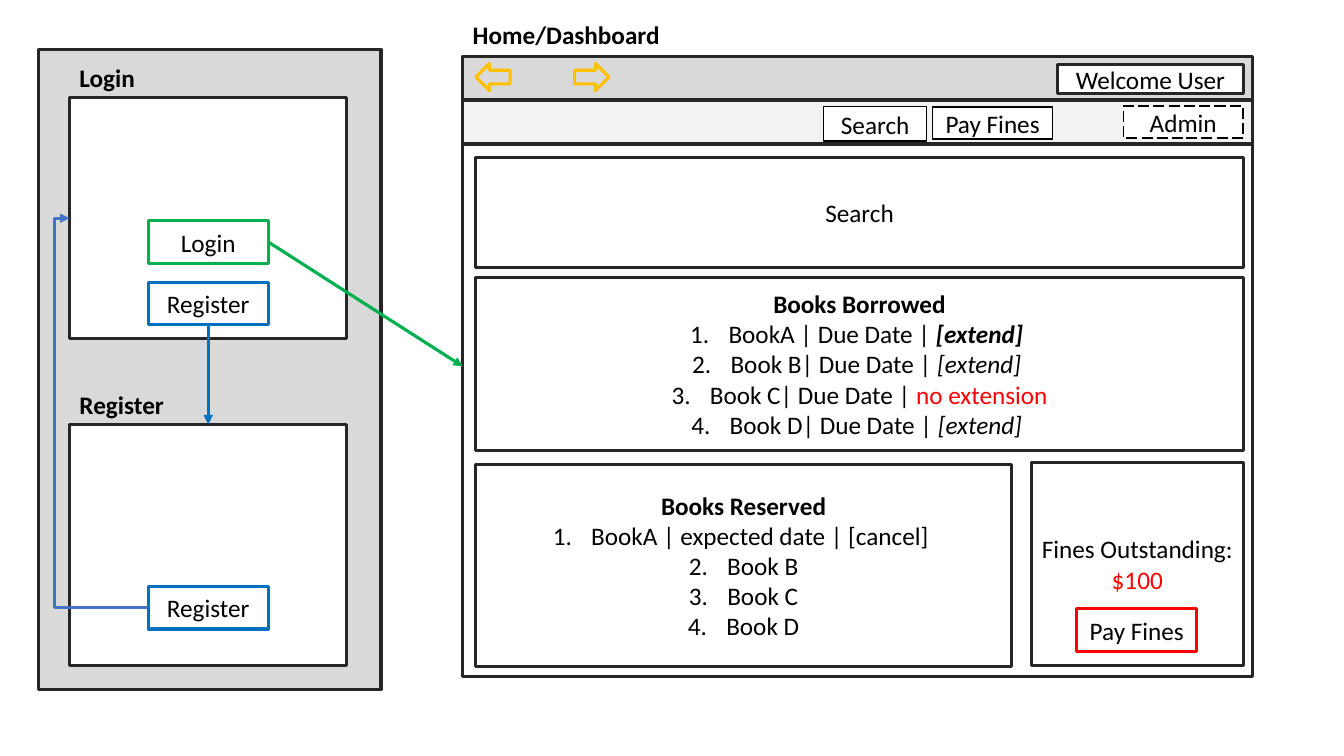
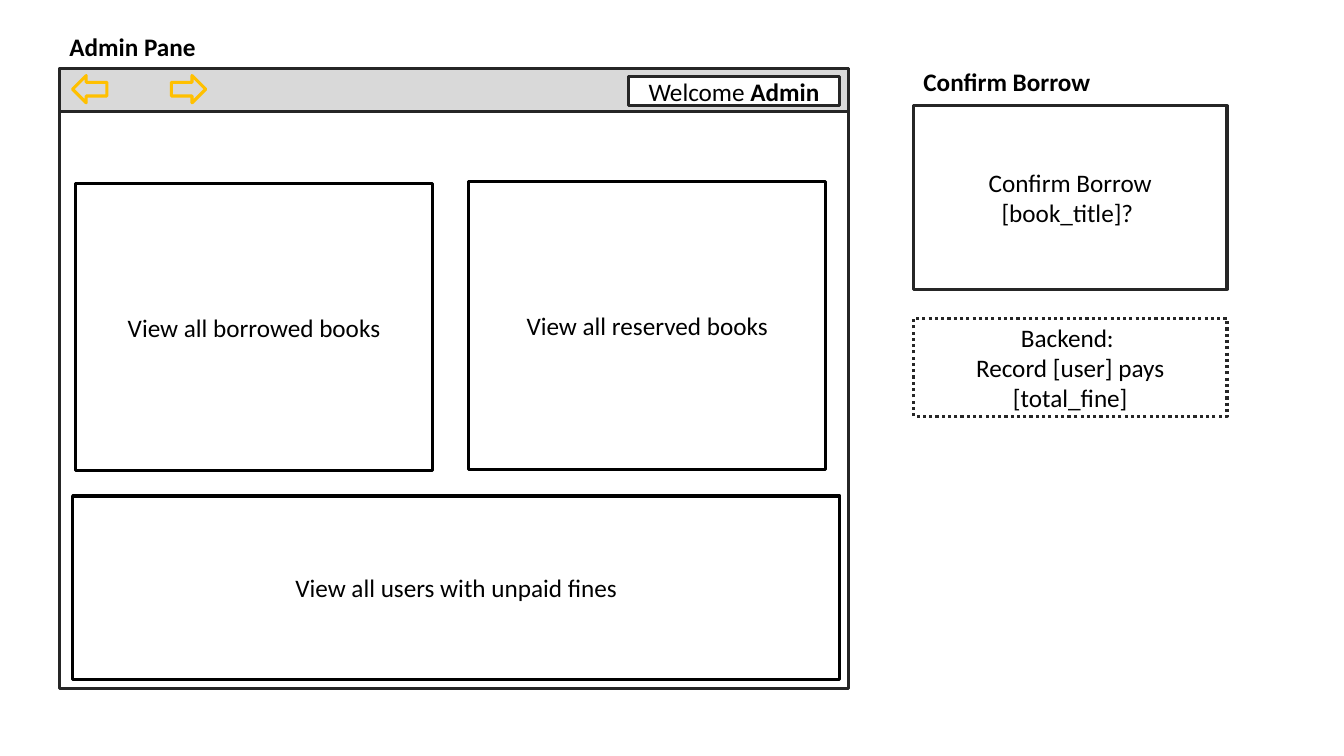
from lxml import etree
from pptx import Presentation
from pptx.dml.color import RGBColor
from pptx.enum.dml import MSO_LINE
from pptx.enum.shapes import MSO_CONNECTOR, MSO_SHAPE
from pptx.enum.text import MSO_ANCHOR, PP_ALIGN
from pptx.oxml.ns import qn
from pptx.util import Inches, Pt

RECT = MSO_SHAPE.RECTANGLE
LEFT_ARROW, RIGHT_ARROW = MSO_SHAPE.LEFT_ARROW, MSO_SHAPE.RIGHT_ARROW
STRAIGHT, ELBOW = MSO_CONNECTOR.STRAIGHT, MSO_CONNECTOR.ELBOW
LONG_DASH, DOTTED = MSO_LINE.LONG_DASH, MSO_LINE.ROUND_DOT
CENTER, MIDDLE = PP_ALIGN.CENTER, MSO_ANCHOR.MIDDLE
TOP_SITE, LEFT_SITE, BOTTOM_SITE, RIGHT_SITE = range(4)

BLACK = RGBColor(0x00, 0x00, 0x00)
WHITE = RGBColor(0xFF, 0xFF, 0xFF)
INK = RGBColor(0x26, 0x26, 0x26)
GREY = RGBColor(0xD9, 0xD9, 0xD9)
PALE = RGBColor(0xF2, 0xF2, 0xF2)
GREEN = RGBColor(0x00, 0xB0, 0x50)
BLUE = RGBColor(0x00, 0x70, 0xC0)
STEEL = RGBColor(0x44, 0x72, 0xC4)
GOLD = RGBColor(0xFF, 0xC0, 0x00)
RED = RGBColor(0xFF, 0x00, 0x00)

FONT, SIZE = "Calibri", Pt(18)
LINE_W, THIN = 2.25, 1
WINDOW_W, WINDOW_H, BAR_H = 7.83, 6.15, 0.43
PAD = 0.13
PANEL_W = 7.61
BUTTON_W, BUTTON_H = 1.19, 0.42


def add_run(p, text, bold=False, italic=False, color=BLACK):
    r = p.add_run()
    r.text = text
    r.font.name, r.font.size = FONT, SIZE
    r.font.bold, r.font.italic = bold, italic
    r.font.color.rgb = color


def number(p):
    """Turn a paragraph into an item of a numbered list."""
    pPr = p._p.get_or_add_pPr()
    pPr.set("marL", str(Inches(0.38)))
    pPr.set("indent", str(-Inches(0.38)))
    etree.SubElement(pPr, qn("a:buFont"), typeface="+mj-lt")
    etree.SubElement(pPr, qn("a:buAutoNum"), type="arabicPeriod")


def write(tf, paras, numbered=False):
    """Write centred paragraphs, each a list of runs (text, style).

    With numbered, the paragraphs after the first become a list.
    """
    tf.word_wrap = True
    tf.vertical_anchor = MIDDLE
    for i, runs in enumerate(paras):
        p = tf.add_paragraph() if i else tf.paragraphs[0]
        p.alignment = CENTER
        if numbered and i:
            number(p)
        for text, style in runs:
            add_run(p, text, **style)


def add_box(slide, x, y, w, h, paras=(), line=INK, fill=WHITE, width=LINE_W,
            dash=None, kind=RECT, numbered=False):
    sp = slide.shapes.add_shape(kind, Inches(x), Inches(y), Inches(w), Inches(h))
    sp.shadow.inherit = False
    if fill is None:
        sp.fill.background()
    else:
        sp.fill.solid()
        sp.fill.fore_color.rgb = fill
    sp.line.color.rgb = line
    sp.line.width = Pt(width)
    if dash is not None:
        sp.line.dash_style = dash
    write(sp.text_frame, paras, numbered)
    return sp


def plain(*lines):
    return [[(line, {})] for line in lines]


def add_label(slide, x, y, text, w=2.75):
    tf = slide.shapes.add_textbox(Inches(x), Inches(y), Inches(w), Inches(0.4)).text_frame
    tf.word_wrap = True
    add_run(tf.paragraphs[0], text, bold=True)


def add_button(slide, x, y, text, line):
    return add_box(slide, x, y, BUTTON_W, BUTTON_H, plain(text), line)


def add_arrow(slide, start, start_site, end, end_site, color, kind=STRAIGHT, bend=None):
    """Join two shapes; bend is the elbow's place in 1/100000 of the width."""
    cn = slide.shapes.add_connector(kind, 0, 0, 0, 0)
    cn.begin_connect(start, start_site)
    cn.end_connect(end, end_site)
    cn.line.color.rgb = color
    cn.line.width = Pt(LINE_W)
    spPr = cn._element.spPr
    etree.SubElement(spPr.find(qn("a:ln")), qn("a:tailEnd"), type="triangle")
    etree.SubElement(spPr, qn("a:effectLst"))
    if bend is not None:
        guides = spPr.find(qn("a:prstGeom")).find(qn("a:avLst"))
        etree.SubElement(guides, qn("a:gd"), name="adj1", fmla=f"val {bend}")


def add_window(slide, x, y, title, user, user_w):
    """Browser-like window with a title, history arrows and a greeting."""
    frame = add_box(slide, x, y, WINDOW_W, WINDOW_H)
    add_label(slide, x, y - 0.42, title)
    add_box(slide, x, y, WINDOW_W, BAR_H, fill=GREY)
    add_box(slide, x + PAD + PANEL_W - user_w, y + 0.08, user_w, 0.29, [user])
    for dx, kind in ((PAD, LEFT_ARROW), (PAD + 0.98, RIGHT_ARROW)):
        add_box(slide, x + dx, y + 0.07, 0.34, 0.27, line=GOLD, fill=None, kind=kind)
    return frame


def add_form(slide, x, y, title):
    add_label(slide, x, y - 0.4, title, 1.2)
    return add_box(slide, x, y, 2.75, 2.39)


def add_sign_in(slide, x, y):
    """Login and registration forms; returns the login button."""
    add_box(slide, x, y, 3.4, 6.35, fill=GREY)
    form_x, button_x = x + 0.31, x + 1.09
    login_form = add_form(slide, form_x, y + 0.48, "Login")
    register_form = add_form(slide, form_x, y + 3.72, "Register")
    login = add_button(slide, button_x, y + 1.7, "Login", GREEN)
    register = add_button(slide, button_x, y + 2.31, "Register", BLUE)
    submit = add_button(slide, button_x, y + 5.33, "Register", BLUE)
    add_arrow(slide, register, BOTTOM_SITE, register_form, TOP_SITE, BLUE)
    add_arrow(slide, submit, LEFT_SITE, login_form, LEFT_SITE, STEEL, ELBOW, 119100)
    return login


def add_dashboard(slide, x, y):
    frame = add_window(slide, x, y, "Home/Dashboard", [("Welcome User", {})], 1.84)
    add_box(slide, x, y + 0.44, WINDOW_W, BAR_H, fill=PALE)
    for dx, dy, w, h, text, dash in (
        (3.58, 0.5, 1.02, 0.34, "Search", None),
        (4.66, 0.5, 1.19, 0.32, "Pay Fines", None),
        (6.55, 0.49, 1.19, 0.32, "Admin", LONG_DASH),
    ):
        add_box(slide, x + dx, y + dy, w, h, plain(text), BLACK, width=THIN, dash=dash)

    left = x + PAD
    add_box(slide, left, y + 1, PANEL_W, 1.09, plain("Search"))
    extend = ("[extend] ", {"italic": True})
    borrowed = [
        [("Books Borrowed", {"bold": True})],
        [("BookA | Due Date | ", {}), ("[extend] ", {"bold": True, "italic": True})],
        [("Book B| Due Date | ", {}), extend],
        [("Book C| Due Date | ", {}), ("no extension", {"color": RED})],
        [("Book D| Due Date | ", {}), extend],
    ]
    add_box(slide, left, y + 2.19, PANEL_W, 1.72, borrowed, numbered=True)
    reserved = [[("Books Reserved", {"bold": True})]] + plain(
        "BookA | expected date | [cancel] ", "Book B", "Book C", "Book D")
    add_box(slide, left, y + 4.05, 5.31, 2, reserved, numbered=True)
    fines = plain("Fines Outstanding:") + [[("$100", {"color": RED})]]
    add_box(slide, x + 5.64, y + 4.03, 2.1, 2.01, fines)
    add_button(slide, x + 6.09, y + 5.48, "Pay Fines", RED)
    return frame


def add_admin_pane(slide, x, y):
    user = [("Welcome ", {}), ("Admin", {"bold": True})]
    add_window(slide, x, y, "Admin Pane", user, 2.1)
    for dx, dy, w, h, text in (
        (0.16, 1.14, 3.54, 2.85, "View all borrowed books"),
        (4.06, 1.12, 3.54, 2.86, "View all reserved books"),
        (PAD, 4.24, PANEL_W, 1.82, "View all users with unpaid fines"),
    ):
        add_box(slide, x + dx, y + dy, w, h, plain(text), BLACK)


def add_confirmation(slide, x, y):
    add_label(slide, x, y - 0.44, "Confirm Borrow")
    add_box(slide, x, y, 3.11, 1.82, plain("Confirm Borrow [book_title]? "))
    add_box(slide, x, y + 2.11, 3.11, 0.97,
            plain("Backend: ", "Record [user] pays [total_fine]"), dash=DOTTED)


def main():
    prs = Presentation()
    prs.slide_width, prs.slide_height = Inches(13.33), Inches(7.5)
    blank = prs.slide_layouts[6]

    home = prs.slides.add_slide(blank)
    login = add_sign_in(home, 0.38, 0.49)
    dashboard = add_dashboard(home, 4.59, 0.56)
    add_arrow(home, login, RIGHT_SITE, dashboard, LEFT_SITE, GREEN)

    admin = prs.slides.add_slide(blank)
    add_admin_pane(admin, 0.59, 0.68)
    add_confirmation(admin, 9.06, 1.05)

    prs.save("out.pptx")


if __name__ == "__main__":
    main()
